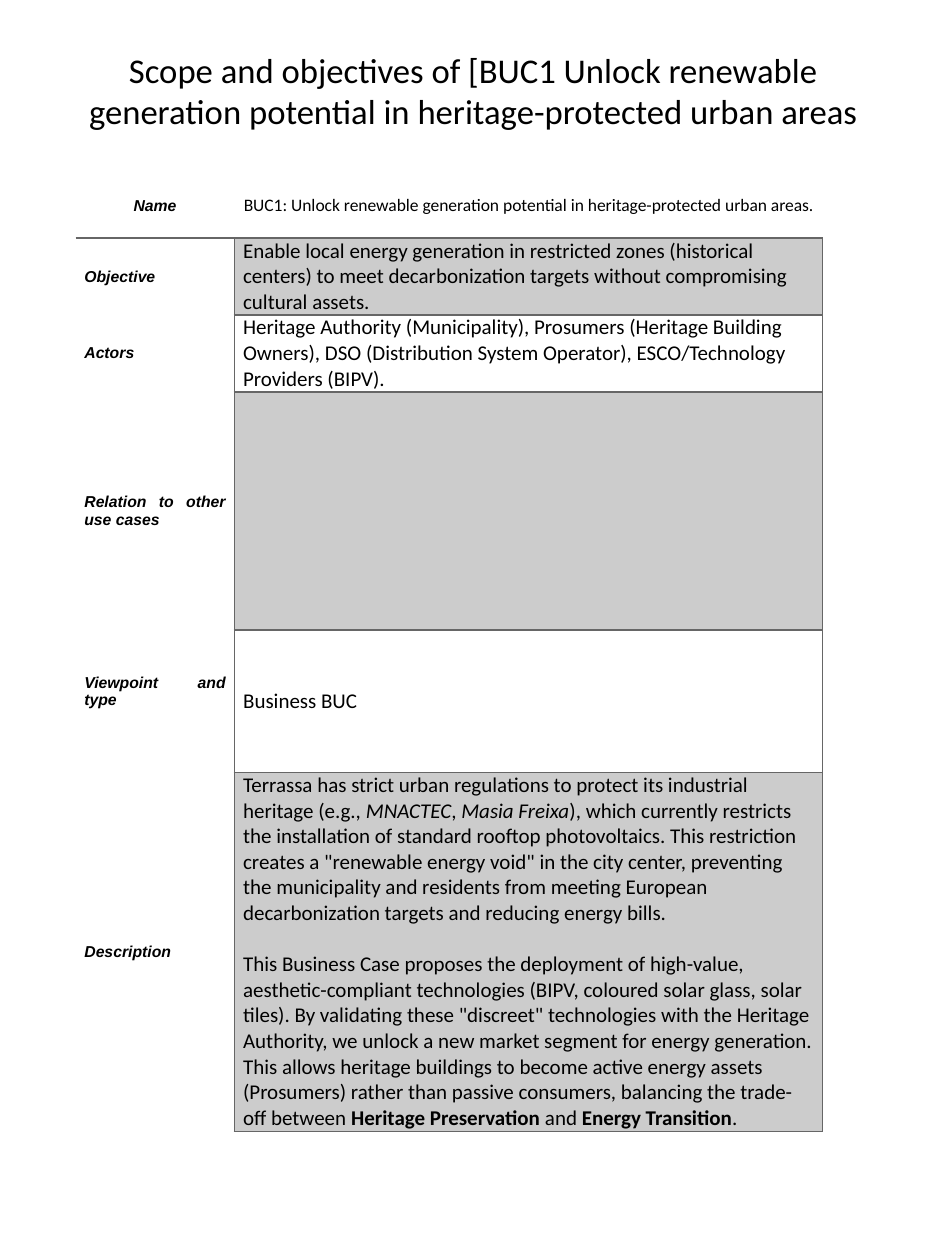
import pptx
import pptx.dml.color
import pptx.enum.text
import pptx.oxml
import pptx.oxml.ns
import pptx.util

ALIGN = pptx.enum.text.PP_ALIGN
MIDDLE = pptx.enum.text.MSO_ANCHOR.MIDDLE
BLACK, WHITE, GREY, RULE = "000000", "FFFFFF", "CCCCCC", "666666"

SLIDE_SIZE = (7.5, 10)
TITLE = ("Scope and objectives of [BUC1 Unlock renewable generation potential "
         "in heritage-protected urban areas")
TITLE_BOX = (0.38, 0.4, 6.75, 0.66)
TABLE_ORIGIN = (0.6, 1.38)
COLUMNS = (1.26, 4.67)
CELL_MARGIN = 0.07
LINE_GAP = 14.6  # points, one line of body text

TITLE_FONT = {"name": "Calibri", "size": 19.8}
LABEL_FONT = {"name": "Arial", "size": 9, "bold": True, "italic": True}
NAME_FONT = {"name": "Calibri", "size": 10, "bold": False, "italic": False}
BODY_FONT = {"name": "Calibri", "size": 12, "bold": False, "italic": False}
ITALIC, BOLD = {"italic": True}, {"bold": True}

# label, row height, paragraphs made of (text, format changes) runs
USE_CASE = [
    ("Name", 0.51, [[
        ("BUC1: Unlock renewable generation potential in heritage-protected urban areas.", {})]]),
    ("Objective", 0.61, [[
        ("Enable local energy generation in restricted zones (historical centers) to meet "
         "decarbonization targets without compromising cultural assets.", {})]]),
    ("Actors", 0.61, [[
        ("Heritage Authority (Municipality), Prosumers (Heritage Building Owners), DSO "
         "(Distribution System Operator), ESCO/Technology Providers (BIPV).", {})]]),
    ("Relation to other use cases", 1.89, []),
    ("Viewpoint and type", 1.13, [[("Business BUC", {})]]),
    ("Description", 2.85, [
        [("Terrassa has strict urban regulations to protect its industrial heritage (e.g., ", {}),
         ("MNACTEC", ITALIC), (", ", {}), ("Masia Freixa", ITALIC),
         ("), which currently restricts the installation of standard rooftop photovoltaics. "
          "This restriction creates a \"renewable energy void\" in the city center, preventing "
          "the municipality and residents from meeting European decarbonization targets and "
          "reducing energy bills.", {})],
        [("This Business Case proposes the deployment of high-value, aesthetic-compliant "
          "technologies (BIPV, coloured solar glass, solar tiles). By validating these "
          "\"discreet\" technologies with the Heritage Authority, we unlock a new market segment "
          "for energy generation. This allows heritage buildings to become active energy assets "
          "(Prosumers) rather than passive consumers, balancing the trade-off between ", {}),
         ("Heritage Preservation", BOLD), (" and ", {}), ("Energy Transition", BOLD), (".", {})],
    ]),
]
RAISED_LABELS = {"Viewpoint and type": 0.15}  # extra bottom margin


def rgb(color):
    return pptx.dml.color.RGBColor.from_string(color)


def inches(lengths):
    return [pptx.util.Inches(length) for length in lengths]


def set_font(font, values):
    for key, value in values.items():
        setattr(font, key, pptx.util.Pt(value) if key == "size" else value)
    font.color.rgb = rgb(BLACK)


def write(frame, paragraphs, font, align):
    for index, runs in enumerate(paragraphs):
        paragraph = frame.add_paragraph() if index else frame.paragraphs[0]
        paragraph.alignment = align
        if index:
            paragraph.space_before = pptx.util.Pt(LINE_GAP)
        for text, changes in runs:
            run = paragraph.add_run()
            run.text = text
            set_font(run.font, {**font, **changes})


def set_borders(cell, ruled_sides):
    """Rule the sides named by the letters L, R, T, B and clear the others."""
    properties = cell._tc.get_or_add_tcPr()
    for side in "LRTB":
        paint = (f'<a:solidFill><a:srgbClr val="{RULE}"/></a:solidFill>'
                 if side in ruled_sides else "<a:noFill/>")
        properties.append(pptx.oxml.parse_xml(
            f'<a:ln{side} {pptx.oxml.ns.nsdecls("a")} w="12700">{paint}</a:ln{side}>'))


def format_cell(cell, fill, ruled_sides, extra_bottom=0):
    margins = {"margin_left": CELL_MARGIN, "margin_right": CELL_MARGIN,
               "margin_top": 0, "margin_bottom": extra_bottom}
    for key, value in margins.items():
        setattr(cell, key, pptx.util.Inches(value))
    cell.vertical_anchor = MIDDLE
    set_borders(cell, ruled_sides)
    cell.fill.solid()
    cell.fill.fore_color.rgb = rgb(fill)


def add_title(slide):
    title = slide.shapes.title
    title.left, title.top, title.width, title.height = inches(TITLE_BOX)
    title.text_frame.vertical_anchor = MIDDLE
    write(title.text_frame, [[(TITLE, {})]], TITLE_FONT, ALIGN.CENTER)
    title.text_frame.paragraphs[0].line_spacing = 0.97


def add_use_case_table(slide):
    heights = [height for _, height, _ in USE_CASE]
    box = inches((*TABLE_ORIGIN, sum(COLUMNS), sum(heights)))
    table = slide.shapes.add_table(len(USE_CASE), len(COLUMNS), *box).table
    table.first_row = table.horz_banding = False
    for column, width in zip(table.columns, inches(COLUMNS)):
        column.width = width
    for index, (label, height, paragraphs) in enumerate(USE_CASE):
        table.rows[index].height = pptx.util.Inches(height)
        is_name = index == 0
        label_cell, value_cell = table.cell(index, 0), table.cell(index, 1)
        label_sides = "B" if is_name else "TR" if index == 1 else "R"
        format_cell(label_cell, WHITE, label_sides, RAISED_LABELS.get(label, 0))
        format_cell(value_cell, GREY if index % 2 else WHITE, "B" if is_name else "LRTB")
        write(label_cell.text_frame, [[(label, {})]], LABEL_FONT,
              ALIGN.CENTER if is_name else ALIGN.JUSTIFY)
        write(value_cell.text_frame, paragraphs, NAME_FONT if is_name else BODY_FONT,
              ALIGN.CENTER if is_name else ALIGN.LEFT)


def main():
    deck = pptx.Presentation()
    deck.slide_width, deck.slide_height = inches(SLIDE_SIZE)
    slide = deck.slides.add_slide(deck.slide_layouts[5])
    add_title(slide)
    add_use_case_table(slide)
    deck.save("out.pptx")


if __name__ == "__main__":
    main()
